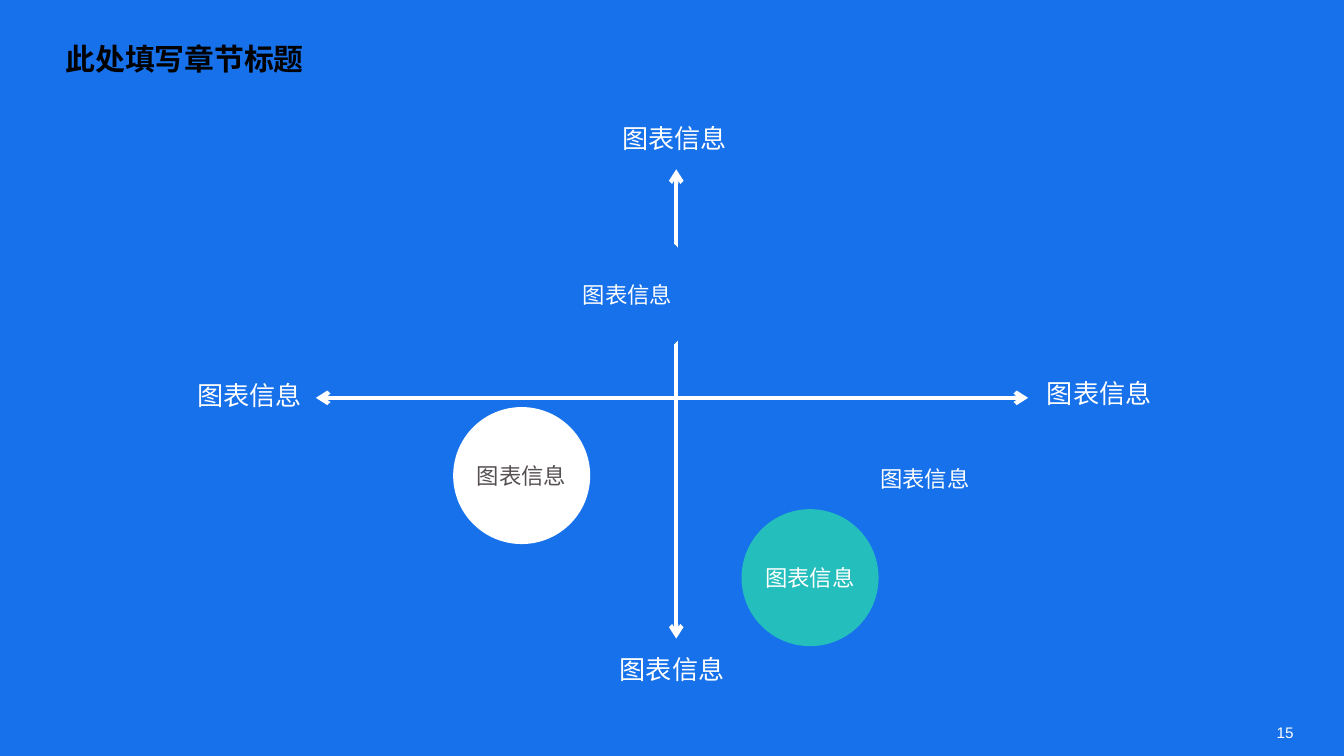
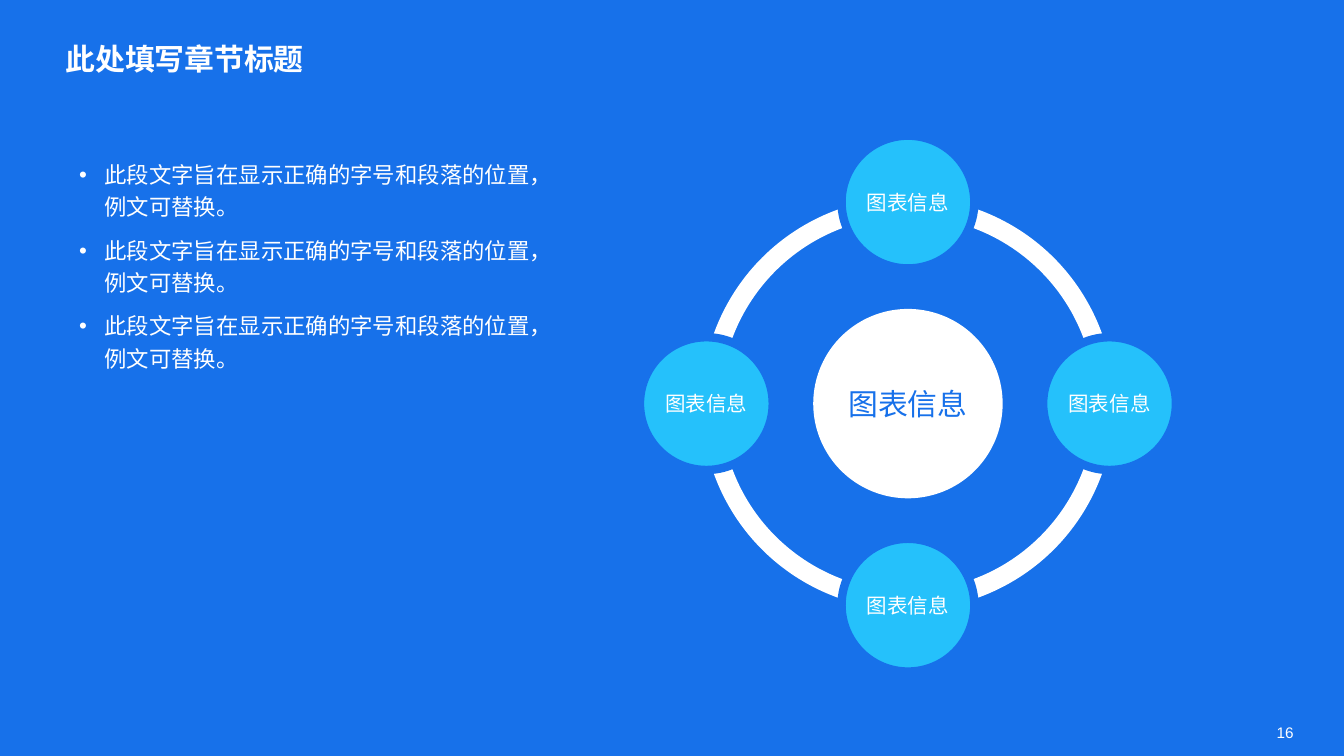
from lxml import etree
from pptx import Presentation
from pptx.dml.color import RGBColor
from pptx.enum import shapes, text
from pptx.oxml.ns import qn
from pptx.util import Cm, Pt

BLUE = RGBColor(0x17, 0x71, 0xEA)
WHITE = RGBColor(0xFF, 0xFF, 0xFF)
BLACK = RGBColor(0, 0, 0)
GREY = RGBColor(0x56, 0x4F, 0x51)
TEAL = RGBColor(0x24, 0xBE, 0xBC)
SKY = RGBColor(0x25, 0xC1, 0xFB)
CJK = "Noto Sans CJK SC"
LEFT, MID = text.PP_ALIGN.LEFT, text.PP_ALIGN.CENTER

TITLE = "此处填写章节标题"
LABEL = "图表信息"
POINTS = ["此段文字旨在显示正确的字号和段落的位置，例文可替换。"] * 3

AXES = [(5.97, 7.52, 19.43, 7.52), (12.78, 3.2, 12.78, 12.07)]
ENDS = [(3.45, 7.04, 2.54), (19.15, 7.01, 3.25),
        (11.18, 2.18, 3.15), (11.13, 12.22, 3.15)]
DOT = 2.59
DOTS = [(11.86, 5.56, BLUE, WHITE), (9.86, 8.99, WHITE, GREY),
        (17.48, 9.04, BLUE, WHITE), (15.31, 10.92, TEAL, WHITE)]

HUB = (17.16, 7.63)
CORE, RING, NODE, ORBIT = 3.58, 7.8, 2.51, 3.81
STEPS = [(0, -1), (1, 0), (0, 1), (-1, 0)]
ARCS = [(108, 162), (54, 108), (0, 54), (162, 0)]


def style(para, size, color, name=CJK, bold=False, align=LEFT):
    para.alignment = align
    font = para.font
    font.size, font.bold, font.name = Pt(size), bold, name
    font.color.rgb = color
    props = para._p.pPr.find(qn("a:defRPr"))
    etree.SubElement(props, qn("a:ea")).set("typeface", name)


def inset(frame, size):
    frame.margin_left = frame.margin_right = Cm(size)
    frame.margin_top = frame.margin_bottom = Cm(size)


def place(shape, x, y, w, h):
    shape.left, shape.top = Cm(x), Cm(y)
    shape.width, shape.height = Cm(w), Cm(h)


def label(slide, words, x, y, w, h, size, name=CJK, align=MID):
    frame = slide.shapes.add_textbox(Cm(x), Cm(y), Cm(w), Cm(h)).text_frame
    frame.word_wrap = True
    frame.text = words
    style(frame.paragraphs[0], size, WHITE, name, align=align)
    return frame


def solid(slide, kind, x, y, size, fill):
    shape = slide.shapes.add_shape(
        kind, Cm(x - size / 2), Cm(y - size / 2), Cm(size), Cm(size))
    shape.shadow.inherit = False
    shape.fill.solid()
    shape.fill.fore_color.rgb = fill
    shape.line.fill.background()
    return shape


def disc(slide, x, y, size, fill, ink, points):
    shape = solid(slide, shapes.MSO_SHAPE.OVAL, x, y, size, fill)
    frame = shape.text_frame
    inset(frame, 0.05)
    frame.word_wrap = False
    frame.vertical_anchor = text.MSO_ANCHOR.MIDDLE
    frame.text = LABEL
    style(frame.paragraphs[0], points, ink, align=MID)
    return shape


def axis(slide, ends):
    line = slide.shapes.add_connector(
        shapes.MSO_CONNECTOR.STRAIGHT, *map(Cm, ends))
    line.line.color.rgb = WHITE
    line.line.width = Pt(2.25)
    props = line._element.spPr
    for tip in ("a:headEnd", "a:tailEnd"):
        etree.SubElement(props.find(qn("a:ln")), qn(tip)).set("type", "arrow")
    etree.SubElement(props, qn("a:effectLst"))


def start(deck, layout, number, ink):
    slide = deck.slides.add_slide(deck.slide_layouts[layout])
    title = slide.shapes.title
    place(title, 1.24, 0.76, 23.34, 1.63)
    frame = title.text_frame
    inset(frame, 0)
    frame.auto_size = text.MSO_AUTO_SIZE.NONE
    frame.vertical_anchor = text.MSO_ANCHOR.TOP
    frame.text = TITLE
    style(frame.paragraphs[0], 16, ink, bold=True)
    page = label(slide, number, 24.13, 13.67, 1.27, 0.36, 8.2, "Arial", LEFT)
    inset(page, 0)
    page.vertical_anchor = text.MSO_ANCHOR.MIDDLE
    return slide


def matrix(deck):
    slide = start(deck, 5, "15", BLACK)
    for ends in AXES:
        axis(slide, ends)
    for x, y, w in ENDS:
        label(slide, LABEL, x, y, w, 0.86, 14)
    for x, y, fill, ink in DOTS:
        disc(slide, x, y, DOT, fill, ink, 12)


def bullets(body):
    place(body, 1.24, 2.82, 9.25, 4.32)
    frame = body.text_frame
    frame.auto_size = text.MSO_AUTO_SIZE.NONE
    frame.text = "\n".join(POINTS)
    for i, para in enumerate(frame.paragraphs):
        props = para._p.get_or_add_pPr()
        props.set("marL", str(Cm(0.48)))
        props.set("indent", str(-Cm(0.48)))
        etree.SubElement(props, qn("a:buChar")).set("char", "•")
        para.line_spacing = 1.2
        para.space_before = Pt(6 if i else 0)
        style(para, 12, WHITE)


def cycle(deck):
    slide = start(deck, 1, "16", WHITE)
    bullets(slide.placeholders[1])
    x, y = HUB
    for first, last in ARCS:
        arc = solid(slide, shapes.MSO_SHAPE.BLOCK_ARC, x, y, RING, WHITE)
        for i, value in enumerate((first, last, 0.046)):
            arc.adjustments[i] = value
    disc(slide, x, y, CORE, WHITE, BLUE, 16)
    for dx, dy in STEPS:
        node = disc(slide, x + dx * ORBIT, y + dy * ORBIT,
                    NODE, SKY, WHITE, 11)
        node.line.color.rgb = BLUE
        node.line.width = Pt(4.5)


def main():
    deck = Presentation()
    deck.slide_width, deck.slide_height = Cm(25.4), Cm(14.29)
    back = deck.slide_master.background.fill
    back.solid()
    back.fore_color.rgb = BLUE
    matrix(deck)
    cycle(deck)
    deck.save("out.pptx")


if __name__ == "__main__":
    main()
